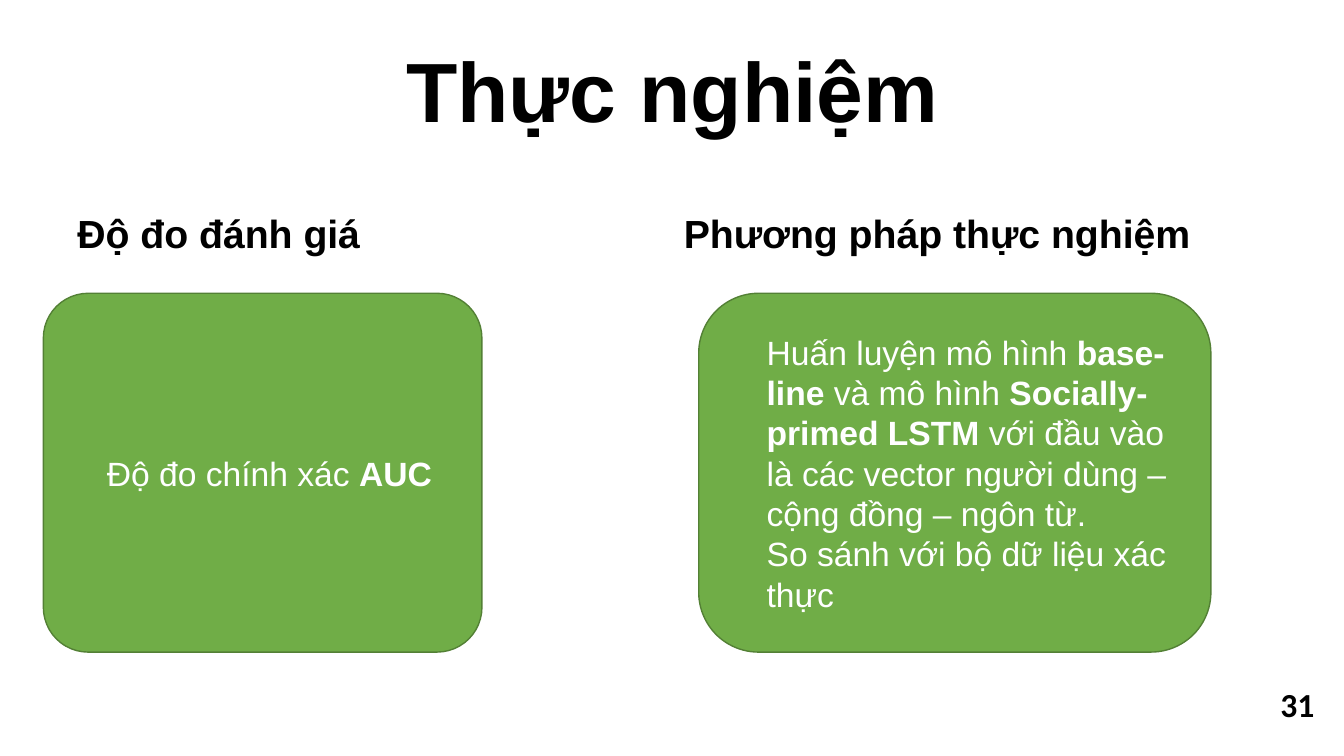
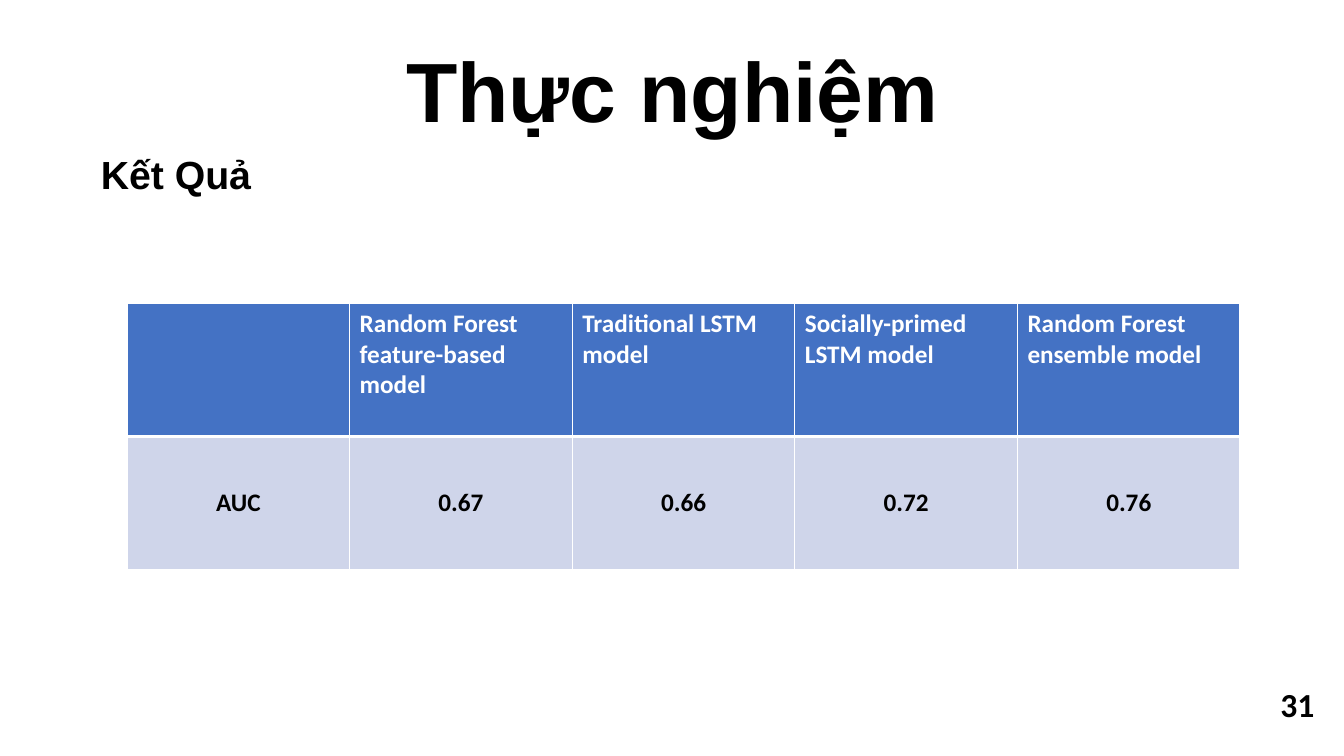
from lxml import etree
from pptx import Presentation
from pptx.dml.color import RGBColor
from pptx.enum.shapes import MSO_SHAPE
from pptx.enum.text import MSO_ANCHOR, PP_ALIGN
from pptx.oxml.ns import qn
from pptx.util import Inches, Pt

BLACK = RGBColor(0x00, 0x00, 0x00)
WHITE = RGBColor(0xFF, 0xFF, 0xFF)
GREEN = RGBColor(0x70, 0xAD, 0x47)
DARK_GREEN = RGBColor(0x53, 0x80, 0x35)
HEADER_BLUE = RGBColor(0x44, 0x72, 0xC4)
ROW_BLUE = RGBColor(0xCF, 0xD5, 0xEA)

HEADING_FONT = "Arial"
TABLE_FONT = "Calibri"
CARD_TOP, CARD_HEIGHT = 2.91, 3.56
HEADING_HEIGHT = 0.57

METRIC = [[("Độ đo chính xác ", False), ("AUC", True)]]
METHOD = [
    [
        ("Huấn luyện mô hình ", False),
        ("base-line ", True),
        ("và mô hình ", False),
        ("Socially-primed LSTM ", True),
        ("với đầu vào là các vector người dùng – cộng đồng – ngôn từ.", False),
    ],
    [("So sánh với bộ dữ liệu xác thực", False)],
]
RESULTS = [
    ["", "Random Forest feature-based model", "Traditional LSTM model",
     "Socially-primed LSTM model", "Random Forest ensemble model"],
    ["AUC", "0.67", "0.66", "0.72", "0.76"],
]


def add_run(paragraph, text, size, font=HEADING_FONT, color=BLACK, bold=True):
    run = paragraph.add_run()
    run.text = text
    run.font.name = font
    run.font.size = Pt(size)
    run.font.bold = bold
    run.font.color.rgb = color


def add_label(slide, text, left, top, width, height, size,
              font=HEADING_FONT, align=PP_ALIGN.CENTER):
    label = slide.shapes.add_textbox(
        Inches(left), Inches(top), Inches(width), Inches(height))
    frame = label.text_frame
    frame.word_wrap = True
    paragraph = frame.paragraphs[0]
    paragraph.alignment = align
    add_run(paragraph, text, size, font)
    return frame


def add_heading(slide, text, left, top, width):
    add_label(slide, text, left, top, width, HEADING_HEIGHT, 28)


def add_titled_slide(deck):
    slide = deck.slides.add_slide(deck.slide_layouts[6])
    title = add_label(slide, "Thực nghiệm", 1.67, 0.33, 10, 1.11, 60)
    title.vertical_anchor = MSO_ANCHOR.BOTTOM
    title.paragraphs[0].line_spacing = 0.9
    add_label(slide, "31", 12.6, 6.74, 0.6, 0.5, 24, TABLE_FONT, PP_ALIGN.LEFT)
    return slide


def add_card(slide, paragraphs, left, width, rounding):
    card = slide.shapes.add_shape(
        MSO_SHAPE.ROUNDED_RECTANGLE, Inches(left), Inches(CARD_TOP),
        Inches(width), Inches(CARD_HEIGHT))
    card.adjustments[0] = rounding
    card.shadow.inherit = False
    card.fill.solid()
    card.fill.fore_color.rgb = GREEN
    card.line.color.rgb = DARK_GREEN
    card.line.width = Pt(1)
    frame = card.text_frame
    frame.word_wrap = True
    frame.vertical_anchor = MSO_ANCHOR.MIDDLE
    frame.margin_left = frame.margin_right = 0
    frame.margin_top = frame.margin_bottom = 0
    for index, runs in enumerate(paragraphs):
        paragraph = frame.add_paragraph() if index else frame.paragraphs[0]
        paragraph.alignment = PP_ALIGN.LEFT
        paragraph._p.get_or_add_pPr().set("marL", str(Inches(0.5)))
        for text, bold in runs:
            add_run(paragraph, text, 24, color=WHITE, bold=bold)


def set_borders(cell, **widths):
    properties = cell._tc.get_or_add_tcPr()
    for position, side in enumerate("LRTB"):
        border = etree.Element(qn(f"a:ln{side}"), w=str(Pt(widths.get(side, 1))))
        fill = etree.SubElement(border, qn("a:solidFill"))
        etree.SubElement(fill, qn("a:srgbClr"), val=str(WHITE))
        properties.insert(position, border)


def add_results_table(slide, rows, left, top, width, height):
    table = slide.shapes.add_table(
        len(rows), len(rows[0]), Inches(left), Inches(top),
        Inches(width), Inches(height)).table
    for row_index, row in enumerate(rows):
        is_header = row_index == 0
        for column_index, text in enumerate(row):
            cell = table.cell(row_index, column_index)
            cell.fill.solid()
            cell.fill.fore_color.rgb = HEADER_BLUE if is_header else ROW_BLUE
            set_borders(cell, **({"B": 3} if is_header else {"T": 3}))
            paragraph = cell.text_frame.paragraphs[0]
            if not is_header:
                cell.vertical_anchor = MSO_ANCHOR.MIDDLE
                paragraph.alignment = PP_ALIGN.CENTER
            if text:
                add_run(paragraph, text, 18, TABLE_FONT,
                        WHITE if is_header else BLACK)


def build_setup_slide(deck):
    slide = add_titled_slide(deck)
    add_heading(slide, "Độ đo đánh giá", 0.66, 2.03, 3.02)
    add_heading(slide, "Phương pháp thực nghiệm", 6.58, 2.03, 5.43)
    add_card(slide, METRIC, 0.43, 4.35, 0.125)
    add_card(slide, METHOD, 6.93, 5.08, 0.16667)


def build_results_slide(deck):
    slide = add_titled_slide(deck)
    add_heading(slide, "Kết Quả", 0.3, 1.44, 2.89)
    add_results_table(slide, RESULTS, 1.26, 3.01, 11.04, 2.64)


def main():
    deck = Presentation()
    deck.slide_width = Inches(13.33)
    deck.slide_height = Inches(7.5)
    build_setup_slide(deck)
    build_results_slide(deck)
    deck.save("out.pptx")


if __name__ == "__main__":
    main()
